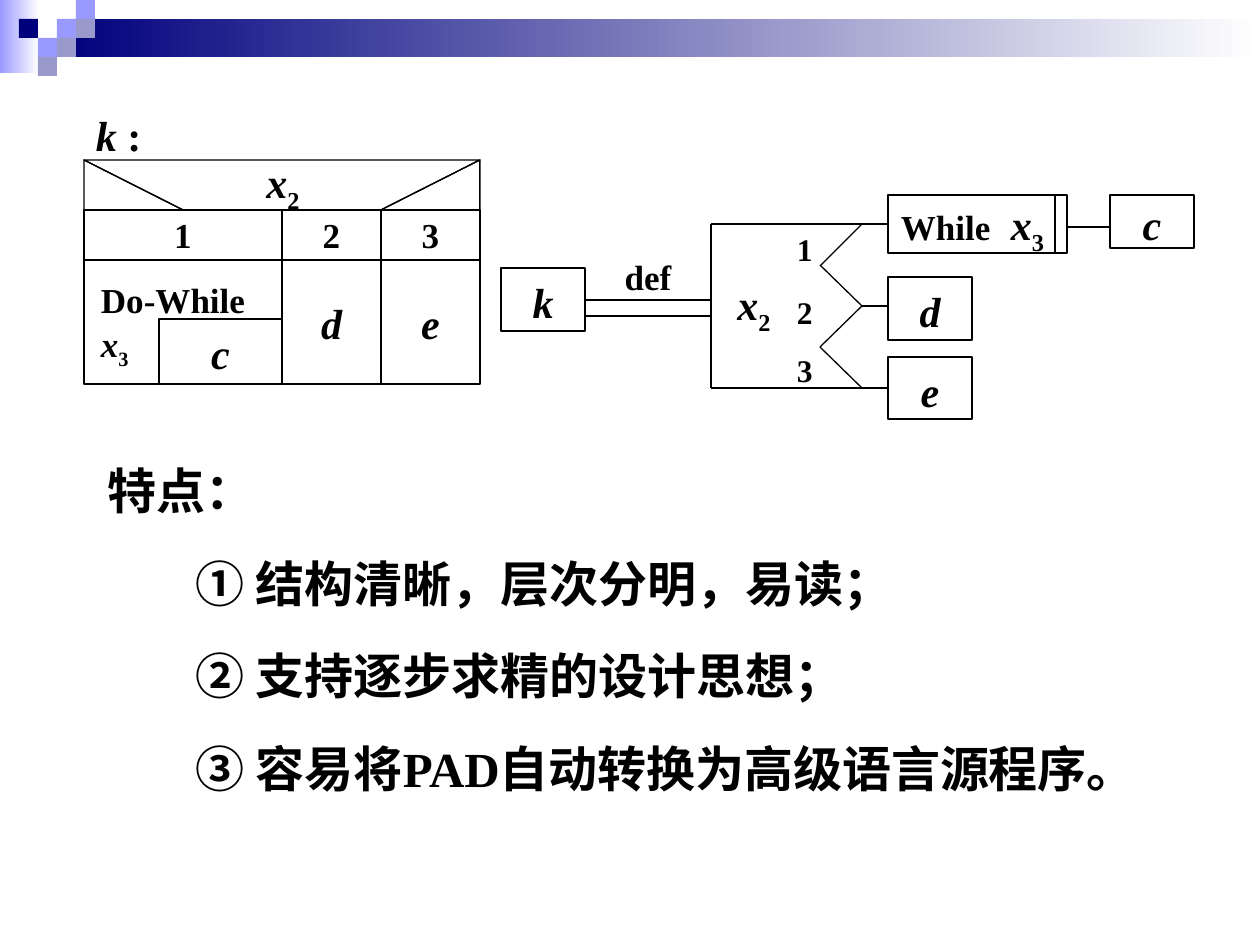
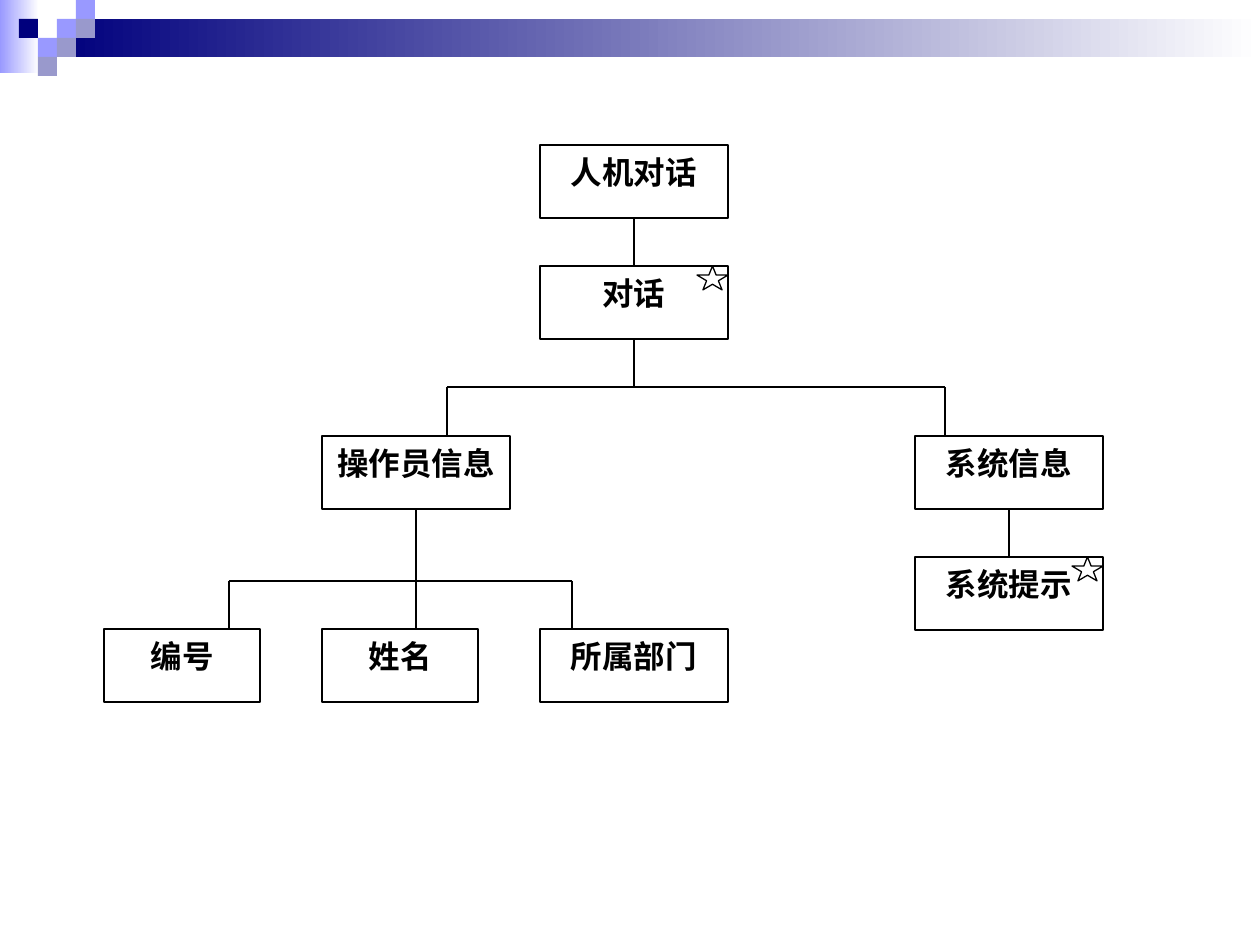
from lxml import etree
from pptx import Presentation
from pptx.dml.color import RGBColor
from pptx.enum.shapes import MSO_CONNECTOR, MSO_SHAPE
from pptx.enum.text import MSO_ANCHOR, PP_ALIGN
from pptx.oxml.ns import qn
from pptx.util import Emu, Pt

RECT = MSO_SHAPE.RECTANGLE
TRIANGLE = MSO_SHAPE.RIGHT_TRIANGLE
STAR = MSO_SHAPE.STAR_5_POINT
STRAIGHT = MSO_CONNECTOR.STRAIGHT
LEFT, CENTER = PP_ALIGN.LEFT, PP_ALIGN.CENTER
TOP = MSO_ANCHOR.TOP
SIDE_TOP, SIDE_LEFT, SIDE_BOTTOM = 0, 1, 2

COLORS = {"ink": "000000", "paper": "FFFFFF", "navy": "00007D",
          "light": "9999FF", "gray": "9999CC"}
FONT = "Times New Roman"
LINE_WIDTH = Pt(0.75)
LINE_SPACING = 1.05
BLANK_LAYOUT = 6


def px(length):
    return Emu(round(length * 914400 / 126))


def color(name):
    return RGBColor.from_string(COLORS[name])


def variable(letter, subscript):
    """Spans for an italic letter with an upright subscript."""
    return [(letter, {"italic": True}), (subscript, {"subscript": True})]


def write(shape, *paras, size=24, align=CENTER, italic=False, pad=(13, 6),
          pad_top=None, space_before=0, indent=0, tab=None):
    """Fill a shape with paragraphs, each a string or a list of (text, format) spans."""
    frame = shape.text_frame
    frame.word_wrap = True
    frame.vertical_anchor = TOP
    frame.margin_left = frame.margin_right = px(pad[0])
    frame.margin_top = px(pad[1] if pad_top is None else pad_top)
    frame.margin_bottom = px(pad[1])
    for number, spans in enumerate(paras):
        para = frame.paragraphs[0] if number == 0 else frame.add_paragraph()
        para.alignment = align
        para.line_spacing = LINE_SPACING
        if number:
            para.space_before = Pt(space_before)
            para._p.get_or_add_pPr().set("marL", str(px(indent)))
        if tab:
            tabs = etree.SubElement(para._p.get_or_add_pPr(), qn("a:tabLst"))
            etree.SubElement(tabs, qn("a:tab"), pos=str(px(tab)), algn="l")
        for text, style in [(spans, {})] if isinstance(spans, str) else spans:
            span = para.add_run()
            span.text = text
            font = span.font
            font.name = FONT
            font.size = Pt(style.get("size", size))
            font.bold = True
            font.italic = style.get("italic", italic)
            font.color.rgb = color("ink")
            if style.get("subscript"):
                font._element.set("baseline", "-25000")


class Region:
    """Part of a slide; all lengths are px from its top left corner."""

    def __init__(self, slide, left, top):
        self.shapes, self.left, self.top = slide.shapes, left, top

    def place(self, x, y):
        return px(self.left + x), px(self.top + y)

    def shape(self, x, y, width, height, kind=RECT, fill=None, line="ink"):
        shape = self.shapes.add_shape(kind, *self.place(x, y), px(width), px(height))
        return self.paint(shape, fill, line)

    def paint(self, shape, fill=None, line="ink"):
        shape.shadow.inherit = False
        if fill:
            shape.fill.solid()
            shape.fill.fore_color.rgb = color(fill)
        else:
            shape.fill.background()
        if line:
            shape.line.color.rgb = color(line)
            shape.line.width = LINE_WIDTH
        else:
            shape.line.fill.background()
        return shape

    def fade(self, x, y, width, height, start):
        """Rectangle that fades from a colour to the paper, left to right."""
        shape = self.shape(x, y, width, height, line=None)
        shape.fill.gradient()
        shape.fill.gradient_angle = 0
        for stop, name in zip(shape.fill.gradient_stops, (start, "paper")):
            stop.color.rgb = color(name)

    def box(self, x, y, width, height, *paras, fill=None, **style):
        shape = self.shape(x, y, width, height, fill=fill)
        write(shape, *paras, **style)
        return shape

    def label(self, x, y, width, height, *paras, **style):
        label = self.shapes.add_textbox(*self.place(x, y), px(width), px(height))
        write(label, *paras, **style)

    def line(self, x1, y1, x2, y2, start=None, end=None):
        line = self.shapes.add_connector(STRAIGHT, *self.place(x1, y1), *self.place(x2, y2))
        line.line.color.rgb = color("ink")
        line.line.width = LINE_WIDTH
        etree.SubElement(line._element.spPr, qn("a:effectLst"))
        if start:
            line.begin_connect(*start)
        if end:
            line.end_connect(*end)

    def outline(self, first, *points):
        builder = self.shapes.build_freeform(*self.place(*first), scale=1.0)
        builder.add_line_segments([self.place(*point) for point in points], close=True)
        self.paint(builder.convert_to_shape())


def draw_banner(slide):
    banner = Region(slide, 0, 0)
    cell = 19
    banner.fade(0, 0, 39, 73, "light")
    banner.fade(3 * cell, cell, 1260 - 3 * cell, 2 * cell, "navy")
    for column, row, fill in [(3, 1, "light"), (4, 0, "light"), (4, 1, "gray"),
                              (2, 2, "light"), (1, 1, "navy"), (3, 2, "gray"),
                              (2, 3, "gray")]:
        banner.shape(column * cell, row * cell, cell, cell, fill=fill, line=None)


def draw_case_chart(slide, left, top):
    """Box diagram of a three-way case on x2."""
    chart = Region(slide, left, top)
    unit, row, body = 99, 50, 124
    chart.outline((0, 0), (unit, row), (3 * unit, row), (4 * unit, 0))
    chart.shape(0, 0, unit, row, TRIANGLE)
    mirrored = chart.shape(3 * unit, 0, unit, row, TRIANGLE)
    mirrored._element.spPr.xfrm.set("flipH", "1")
    chart.label(94, -6, 210, 64, variable("x", "2"), pad_top=0)

    for column, span, number, branch in [(0, 2, "1", None), (2, 1, "2", "d"),
                                         (3, 1, "3", "e")]:
        x, width = column * unit, span * unit
        chart.box(x, row, width, row, number, size=20, pad=(13, 1))
        if branch:
            chart.box(x, 2 * row, width, body, branch, italic=True, pad_top=35)
        else:
            chart.shape(x, 2 * row, width, body)
    chart.box(75, 159, 123, 65, "c", italic=True)
    chart.label(4, 110, 174, 103, [("Do-While ", {}), *variable("x", "3")],
                size=20, align=LEFT)
    chart.label(-1, -59, 84, 63, [("k ", {"italic": True}), (":", {})], align=LEFT)


def draw_pad_diagram(slide, left, top):
    """Problem analysis diagram of the same case."""
    diagram = Region(slide, left, top)
    bracket, tip, notch, branch = 210, 361, 319, 387
    upper, middle, lower = 29, 111, 193

    diagram.box(0, 73, 84, 63, "k", italic=True)
    diagram.label(84, 52, 126, 55, "def", size=20)
    for y in (105, 121):
        diagram.line(84, y, bracket, y)

    loop = diagram.box(branch, 0, 179, 58,
                       [("While\t", {"size": 20}), *variable("x", "3")],
                       align=LEFT, pad=(13, 1), tab=110)
    diagram.line(554, 0, 554, 58)
    diagram.line(567, 32, 609, 32)
    diagram.box(609, 0, 84, 53, "c", italic=True, pad=(13, 1))
    diagram.box(branch, 82, 84, 63, "d", italic=True)
    last = diagram.box(branch, 162, 84, 62, "e", italic=True)

    diagram.line(bracket, upper, bracket, lower)
    diagram.line(bracket, upper, branch, upper, end=(loop, SIDE_LEFT))
    diagram.line(tip, middle, branch, middle)
    diagram.line(bracket, lower, branch, lower, end=(last, SIDE_LEFT))
    for y, notch_y in [(upper, 71), (middle, 70), (middle, 152), (lower, 152)]:
        diagram.line(tip, y, notch, notch_y)

    diagram.label(200, 80, 106, 60, variable("x", "2"), pad=(13, 1))
    for number, y in zip("123", (27, 90, 148)):
        diagram.label(283, y, 63, 50, number, size=18, align=LEFT)


def draw_features(slide, left, top):
    features = Region(slide, left, top)
    features.label(0, 0, 1081, 399, "特点：",
                   "① 结构清晰，层次分明，易读；",
                   "② 支持逐步求精的设计思想；",
                   "③ 容易将PAD自动转换为高级语言源程序。",
                   size=28, align=LEFT, space_before=17.5, indent=88)


def draw_dialog_tree(slide, left, top):
    tree = Region(slide, left, top)
    height, wide, narrow = 73, 188, 156
    star_width, star_height = 31, 24

    def node(x, y, text, width=wide, starred=False):
        box = tree.box(x, y, width, height, text, size=18, fill="paper")
        if starred:
            tree.shape(x + width - star_width, y, star_width, star_height, STAR, fill="paper")
        return box

    def link(x, y, upper, lower):
        tree.line(x, y, x, y, (upper, SIDE_BOTTOM), (lower, SIDE_TOP))

    def fan(parent, x, y, bus, children, bottom):
        """Stem under a parent, a level bus, and a drop to each child."""
        tree.line(x, y, x, bus, start=(parent, SIDE_BOTTOM))
        tree.line(children[0], bus, children[-1], bus)
        for child in children:
            tree.line(child, bus, child, bottom)

    first, second, third, fourth = 0, 218, 436, 811
    root = node(third, 0, "人机对话")
    dialog = node(third, 121, "对话", starred=True)
    operator = node(second, 291, "操作员信息")
    system = node(fourth, 291, "系统信息")
    prompt = node(fourth, 412, "系统提示", starred=True)
    node(first, 484, "编号", narrow)
    node(second, 484, "姓名", narrow)
    node(third, 484, "所属部门")

    half = wide // 2
    link(third + half, height, root, dialog)
    link(fourth + half, 291 + height, system, prompt)
    fan(dialog, third + half, 121 + height, 242, (343, 841), 291)
    fan(operator, second + half, 291 + height, 436, (125, second + half, 468), 484)


def add_slide(deck):
    slide = deck.slides.add_slide(deck.slide_layouts[BLANK_LAYOUT])
    draw_banner(slide)
    return slide


def main():
    deck = Presentation()
    deck.slide_width, deck.slide_height = px(1260), px(945)

    slide = add_slide(deck)
    draw_pad_diagram(slide, 501, 195)
    draw_case_chart(slide, 84, 160)
    draw_features(slide, 95, 452)

    draw_dialog_tree(add_slide(deck), 104, 145)
    deck.save("out.pptx")


if __name__ == "__main__":
    main()
